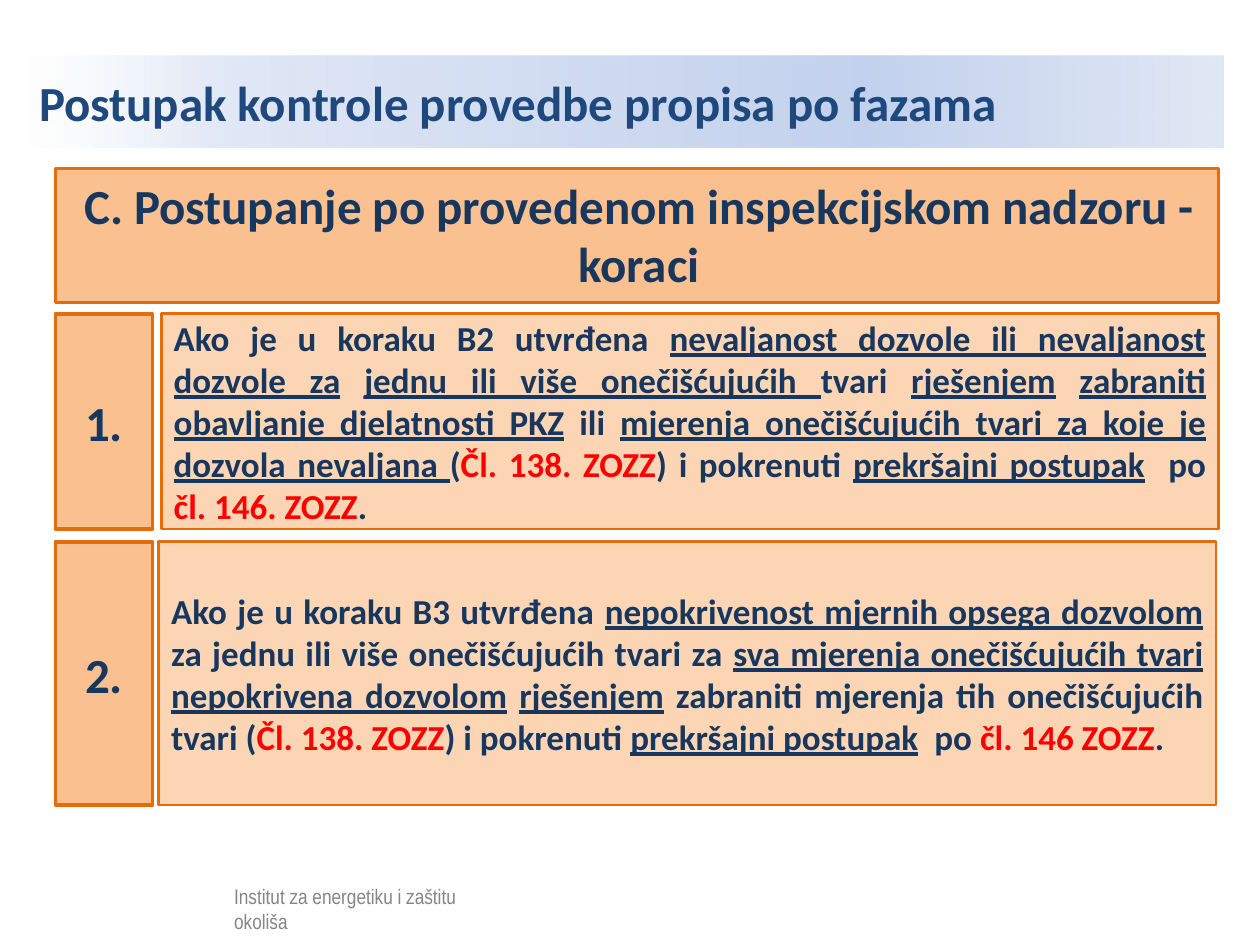
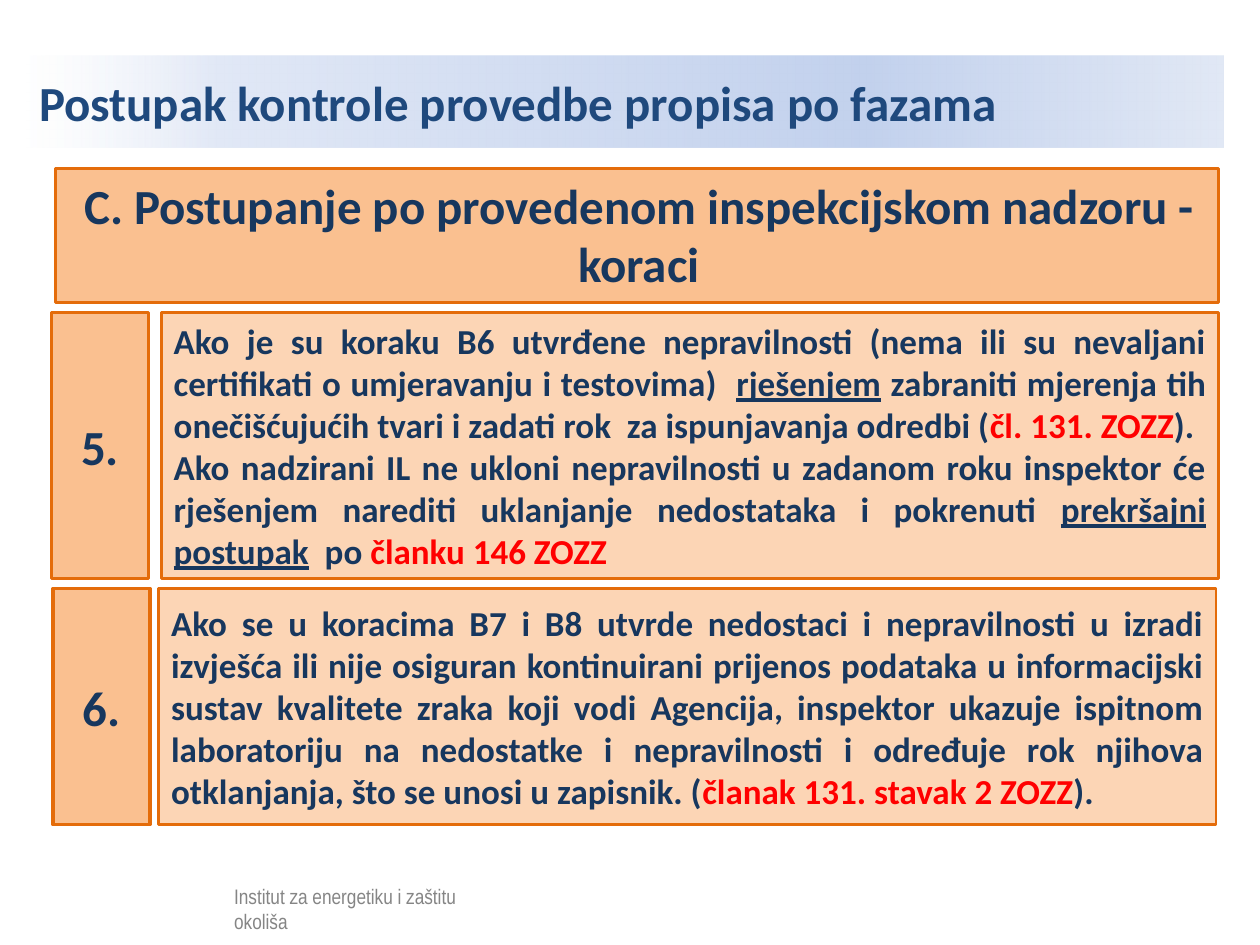
import pptx
import pptx.util
import pptx.dml.color
import pptx.enum.shapes
import pptx.enum.text
from lxml import etree
from pptx.oxml.ns import qn

Pt = pptx.util.Pt
ALIGN = pptx.enum.text.PP_ALIGN
MIDDLE = pptx.enum.text.MSO_ANCHOR.MIDDLE
color = pptx.dml.color.RGBColor.from_string

TITLE_BLUE = "1F497D"
NAVY = "17375E"
RED = "FF0000"
ORANGE = "E46C0A"
PEACH = "FAC090"
LIGHT_PEACH = "FCD5B5"
BAND_STOPS = [(0, "FFFFFF", 52), (16, "E1E8F6", 100), (70, "C2D1ED", 100), (100, "E1E8F5", 100)]

TITLE = "Postupak kontrole provedbe propisa po fazama"
HEADING = "C. Postupanje po provedenom inspekcijskom nadzoru - koraci"
FOOTER = "Institut za energetiku i zaštitu okoliša"

# Segments are separated by "|"; "_" marks underlined text and "*" marks red text.
STEPS = [
    [
        ("1.", 31.68, 92.16, 179.28, 123.12, [
            "Ako je u koraku B2 utvrđena |_nevaljanost dozvole ili nevaljanost dozvole za| |"
            "_jednu ili više onečišćujućih |tvari |_rješenjem| |"
            "_zabraniti obavljanje djelatnosti PKZ| ili |"
            "_mjerenja onečišćujućih tvari za koje je dozvola nevaljana |(|*Čl. 138. ZOZZ|"
            ") i pokrenuti |_prekršajni postupak|  po |*čl. 146. ZOZZ|. "]),
        ("2.", 31.68, 90.72, 309.6, 150.48, [
            "Ako je u koraku B3 utvrđena |_nepokrivenost mjernih opsega dozvolom |"
            "za jednu ili više onečišćujućih tvari za |"
            "_sva mjerenja onečišćujućih tvari nepokrivena dozvolom| |_rješenjem|"
            " zabraniti mjerenja tih onečišćujućih tvari (|*Čl. 138. ZOZZ|"
            ") i pokrenuti |_prekršajni postupak|  po |*čl. 146 ZOZZ|."]),
    ],
    [
        ("5.", 29.52, 92.16, 178.56, 151.92, [
            "Ako je su koraku B6 utvrđene nepravilnosti (nema ili su nevaljani certifikati "
            "o umjeravanju i testovima)  |_rješenjem| zabraniti mjerenja tih onečišćujućih "
            "tvari i zadati rok  za ispunjavanja odredbi (|*čl. 131. ZOZZ|).",
            "Ako nadzirani IL ne ukloni nepravilnosti u zadanom roku inspektor će rješenjem "
            "narediti uklanjanje nedostataka i pokrenuti |_prekršajni postupak|  po |"
            "*članku 146 ZOZZ"]),
        ("6.", 30.24, 90.72, 336.24, 135, [
            "Ako se u koracima B7 i B8 utvrde nedostaci i nepravilnosti u izradi izvješća ili "
            "nije osiguran kontinuirani prijenos podataka u informacijski sustav kvalitete "
            "zraka koji vodi Agencija, inspektor ukazuje ispitnom laboratoriju na nedostatke "
            "i nepravilnosti i određuje rok njihova otklanjanja, što se unosi u zapisnik. (|"
            "*članak 131. stavak 2 ZOZZ|)."]),
    ],
]


def add_box(slide, left, top, width, height, fill, line_width=None):
    shape = slide.shapes.add_shape(pptx.enum.shapes.MSO_SHAPE.RECTANGLE,
                                   Pt(left), Pt(top), Pt(width), Pt(height))
    shape.shadow.inherit = False
    shape.fill.solid()
    shape.fill.fore_color.rgb = color(fill)
    if line_width:
        shape.line.color.rgb = color(ORANGE)
        shape.line.width = Pt(line_width)
    else:
        shape.line.fill.background()
    shape.text_frame.word_wrap = True
    shape.text_frame.vertical_anchor = MIDDLE
    return shape


def write(paragraph, text, size, hex_color, alignment, font="Calibri", bold=True):
    paragraph.alignment = alignment
    paragraph.font.size = Pt(size)
    paragraph.font.name = font
    paragraph.font.bold = bold
    paragraph.font.color.rgb = color(hex_color)
    for segment in text.split("|"):
        run = paragraph.add_run()
        run.text = segment.lstrip("_*")
        run.font.size = Pt(size)
        run.font.name = font
        run.font.bold = bold
        run.font.color.rgb = color(RED if segment.startswith("*") else hex_color)
        if segment.startswith("_"):
            run.font.underline = True


presentation = pptx.Presentation()
presentation.slide_width = Pt(720)
presentation.slide_height = Pt(540)

for steps in STEPS:
    slide = presentation.slides.add_slide(presentation.slide_layouts[5])

    title = slide.shapes.title
    title.left, title.top, title.width, title.height = Pt(15.12), Pt(31.68), Pt(684), Pt(52.56)
    title.fill.gradient()
    title.fill.gradient_angle = 0
    stops = title.element.spPr.find(".//" + qn("a:gsLst"))
    for stop in list(stops):
        stops.remove(stop)
    for position, hex_color, opacity in BAND_STOPS:
        stop = etree.SubElement(stops, qn("a:gs"), pos=str(position * 1000))
        stop_color = etree.SubElement(stop, qn("a:srgbClr"), val=hex_color)
        if opacity < 100:
            etree.SubElement(stop_color, qn("a:alpha"), val=str(opacity * 1000))
    title.text_frame.word_wrap = True
    title.text_frame.vertical_anchor = MIDDLE
    write(title.text_frame.paragraphs[0], TITLE, 28, TITLE_BLUE, ALIGN.LEFT)

    footer = slide.shapes.add_textbox(Pt(126.72), Pt(501.12), Pt(150.48), Pt(18))
    footer.text_frame.word_wrap = True
    write(footer.text_frame.paragraphs[0], FOOTER, 12, "000000", ALIGN.LEFT, "Arial Narrow", False)
    veil = add_box(slide, 29.52, 498.96, 275.04, 34.56, "FFFFFF")
    veil_color = veil.element.spPr.find(qn("a:solidFill")).find(qn("a:srgbClr"))
    etree.SubElement(veil_color, qn("a:alpha"), val="52000")

    add_box(slide, 31.68, 96.48, 664.56, 76.32, PEACH, 1.5)
    heading = slide.shapes.add_textbox(Pt(33.12), Pt(96.48), Pt(663.84), Pt(74.88))
    heading.text_frame.word_wrap = True
    write(heading.text_frame.paragraphs[0], HEADING, 28, NAVY, ALIGN.CENTER)

    for number, number_left, step_left, top, height, paragraphs in steps:
        step_box = add_box(slide, step_left, top, 604.08, height, LIGHT_PEACH, 1.5)
        frame = step_box.text_frame
        for index, text in enumerate(paragraphs):
            paragraph = frame.add_paragraph() if index else frame.paragraphs[0]
            write(paragraph, text, 20, NAVY, ALIGN.JUSTIFY)
        number_box = add_box(slide, number_left, top, 55.44, height, PEACH, 2)
        write(number_box.text_frame.paragraphs[0], number, 28, NAVY, ALIGN.CENTER)

presentation.save("out.pptx")
